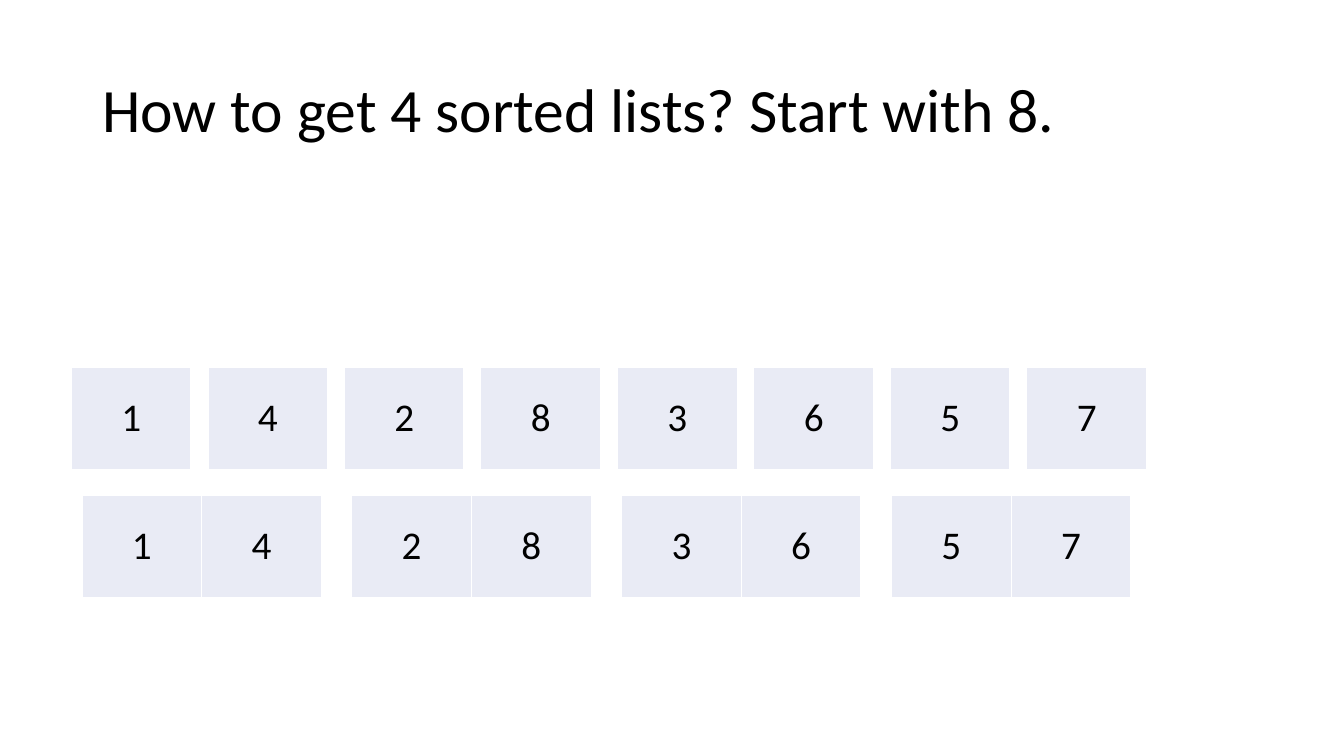
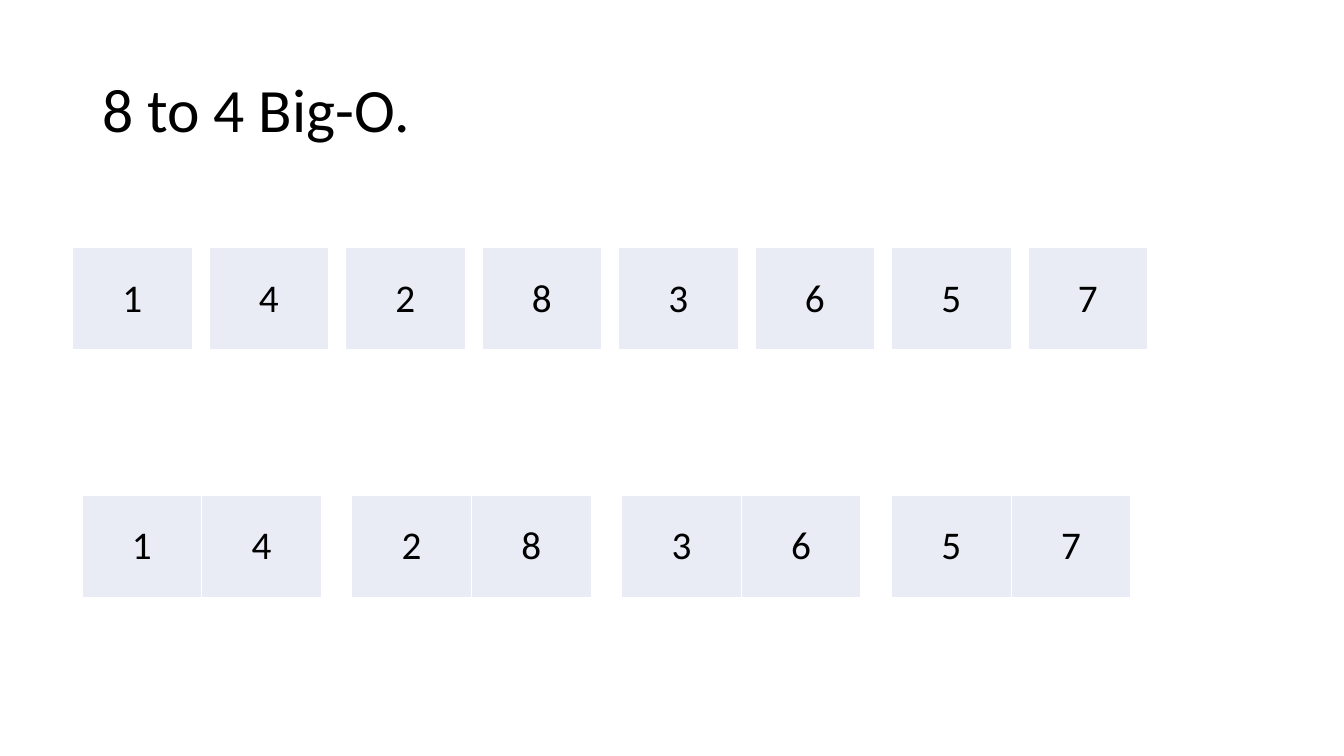
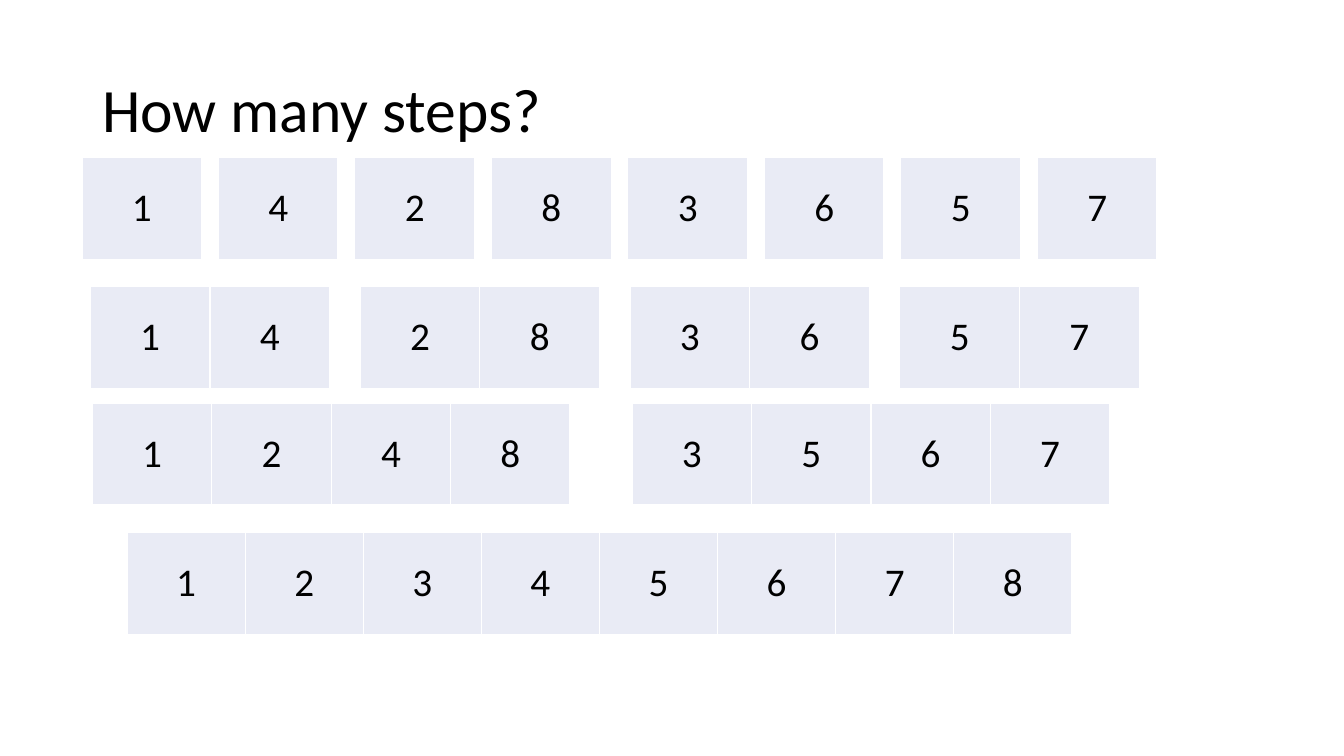
from lxml import etree
from pptx import Presentation
from pptx import util as u
from pptx.dml.color import RGBColor
from pptx.enum import text
from pptx.oxml.ns import qn

PX = 9525  # EMU per px, 96 px to the inch
FONT, INK, CELL, RULE = "Calibri", "000000", "E9EBF5", "FFFFFF"
ROW_HEIGHT = 97

# Items per list: (list width, distance from one list to the next)
LIST_SIZES = {1: (114, 130), 2: (228, 257), 4: (455, 514), 8: (900, 0)}

UNSORTED = ["1", "4", "2", "8", "3", "6", "5", "7"]
PAIRS = ["14", "28", "36", "57"]
FOURS = ["1248", "3567"]
SORTED = ["12345678"]

# Title, then rows of lists: (left, top, lists)
SLIDES = [
    ("How to get 4 sorted lists? Start with 8.",
     [(78, 472, PAIRS), (68, 350, UNSORTED)]),
    ("8 to 4 Big-O.",
     [(78, 472, PAIRS), (69, 236, UNSORTED)]),
    ("How many steps?",
     [(86, 273, PAIRS), (78, 150, UNSORTED), (88, 384, FOURS), (121, 507, SORTED)]),
]


def rgb(color):
    return RGBColor.from_string(color)


def style(paragraph, size):
    font = paragraph.runs[0].font
    font.name, font.size = FONT, u.Pt(size)
    font.color.rgb = rgb(INK)


prs = Presentation()
prs.slide_width, prs.slide_height = 1280 * PX, 720 * PX

for heading, rows in SLIDES:
    slide = prs.slides.add_slide(prs.slide_layouts[6])

    # Title
    title = slide.shapes.add_textbox(88 * PX, 38 * PX, 1104 * PX, 139 * PX).text_frame
    title.word_wrap = True
    title.vertical_anchor = text.MSO_ANCHOR.MIDDLE
    title.text = heading
    title.paragraphs[0].line_spacing = 0.9
    style(title.paragraphs[0], 44)

    # Lists, one table each
    for left, top, lists in rows:
        width, pitch = LIST_SIZES[len(lists[0])]
        for index, digits in enumerate(lists):
            table = slide.shapes.add_table(
                1, len(digits), (left + index * pitch) * PX, top * PX,
                width * PX, ROW_HEIGHT * PX).table
            table.first_row = table.horz_banding = False
            for column, digit in enumerate(digits):
                table.columns[column].width = width * PX // len(digits)
                cell = table.cell(0, column)
                cell.text = digit
                cell.vertical_anchor = text.MSO_ANCHOR.MIDDLE
                cell.text_frame.paragraphs[0].alignment = text.PP_ALIGN.CENTER
                style(cell.text_frame.paragraphs[0], 28)

                # Borders come before the fill in the cell properties
                properties = cell._tc.get_or_add_tcPr()
                for side in ("a:lnL", "a:lnR", "a:lnT", "a:lnB"):
                    border = etree.SubElement(properties, qn(side), w=str(u.Pt(1)))
                    paint = etree.SubElement(border, qn("a:solidFill"))
                    etree.SubElement(paint, qn("a:srgbClr"), val=RULE)
                cell.fill.solid()
                cell.fill.fore_color.rgb = rgb(CELL)

prs.save("out.pptx")
